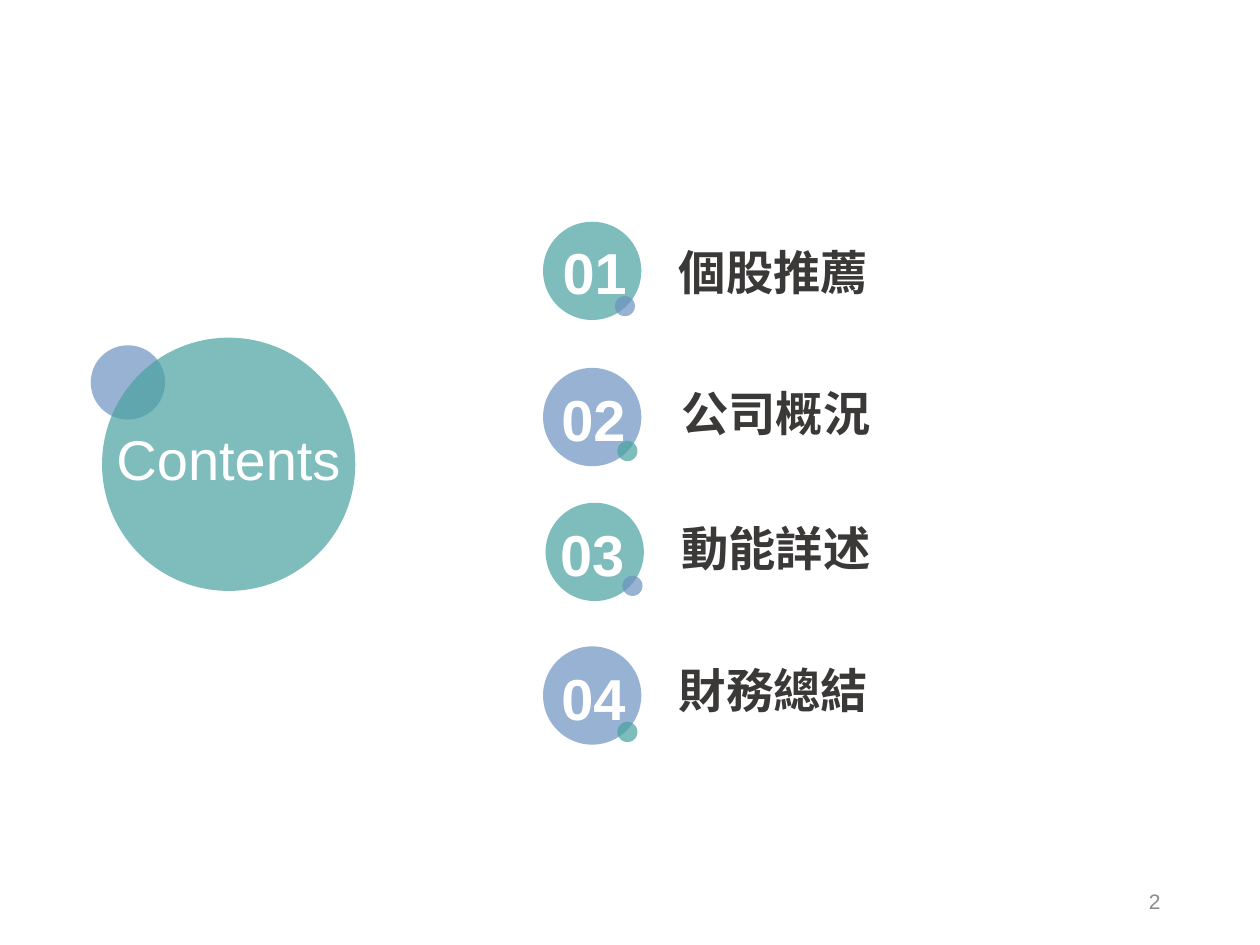
from pptx import Presentation
from pptx.dml.color import RGBColor as RGB
from pptx.enum.shapes import MSO_SHAPE as Shape
from pptx.enum.text import MSO_ANCHOR as Anchor, MSO_AUTO_SIZE as Auto, PP_ALIGN as Align
from pptx.oxml.ns import qn
from pptx.util import Inches, Pt
from lxml.etree import SubElement

COLORS = {"teal": "48A2A0", "blue": "6C92C0", "white": "FFFFFF",
          "ink": "3B3838", "gray": "8C8C8C"}
OPACITY = "70000"

# number, label, top, disc colour, dot colour, then the x and y offsets
# of the number, the dot and the label from the corner of the row
ROWS = [
    ("01", "個股推薦", 4.31, 1.76, "teal", "blue", (0.05, 0.07), (0.57, 0.59), (0.98, 0.12)),
    ("02", "公司概況", 4.31, 2.92, "blue", "teal", (0.04, 0.08), (0.59, 0.58), (1.00, 0.08)),
    ("03", "動能詳述", 4.33, 3.99, "teal", "blue", (0.01, 0.08), (0.61, 0.58), (0.98, 0.08)),
    ("04", "財務總結", 4.31, 5.13, "blue", "teal", (0.04, 0.08), (0.59, 0.60), (0.98, 0.07)),
]


def add_disc(slide, x, y, size, color):
    """Add a translucent circle without an outline."""
    disc = slide.shapes.add_shape(
        Shape.OVAL, Inches(x), Inches(y), Inches(size), Inches(size))
    disc.shadow.inherit = False
    disc.line.fill.background()
    disc.fill.solid()
    disc.fill.fore_color.rgb = RGB.from_string(COLORS[color])
    tint = disc.fill._xPr.find(qn("a:solidFill"))[0]
    SubElement(tint, qn("a:alpha"), val=OPACITY)


def add_text(slide, text, x, y, w, h, size, color, align=Align.CENTER,
             bold=False, wrap=True, anchor=Anchor.TOP):
    box = slide.shapes.add_textbox(Inches(x), Inches(y), Inches(w), Inches(h))
    frame = box.text_frame
    frame.text = text
    frame.word_wrap = wrap
    frame.auto_size = Auto.NONE if wrap else Auto.SHAPE_TO_FIT_TEXT
    frame.vertical_anchor = anchor
    para = frame.paragraphs[0]
    para.alignment = align
    font = para.runs[0].font
    font.name, font.size, font.bold = "Arial", Pt(size), bold
    font.color.rgb = RGB.from_string(COLORS[color])


def add_title(slide, x, y, size):
    add_disc(slide, x - 0.09, y + 0.06, 0.59, "blue")
    add_disc(slide, x, y, size, "teal")
    add_text(slide, "Contents", x, y + 0.64, size, 0.7, 32, "white")


def add_row(slide, number, label, x, y, disc, dot, num_off, dot_off, label_off):
    add_disc(slide, x, y, 0.78, disc)
    add_text(slide, number, x + num_off[0], y + num_off[1], 0.72, 0.66,
             33, "white", bold=True, wrap=False)
    add_disc(slide, x + dot_off[0], y + dot_off[1], 0.16, dot)
    add_text(slide, label, x + label_off[0], y + label_off[1], 1.72, 0.56,
             27, "ink", Align.LEFT, bold=True, wrap=False)


def main():
    deck = Presentation()
    deck.slide_width, deck.slide_height = Inches(10), Inches(7.5)
    slide = deck.slides.add_slide(deck.slide_layouts[6])
    add_title(slide, 0.81, 2.68, 2.01)
    for row in ROWS:
        add_row(slide, *row)
    add_text(slide, "2", 7.06, 6.95, 2.25, 0.4, 12, "gray", Align.RIGHT,
             anchor=Anchor.MIDDLE)
    deck.save("out.pptx")


if __name__ == "__main__":
    main()
